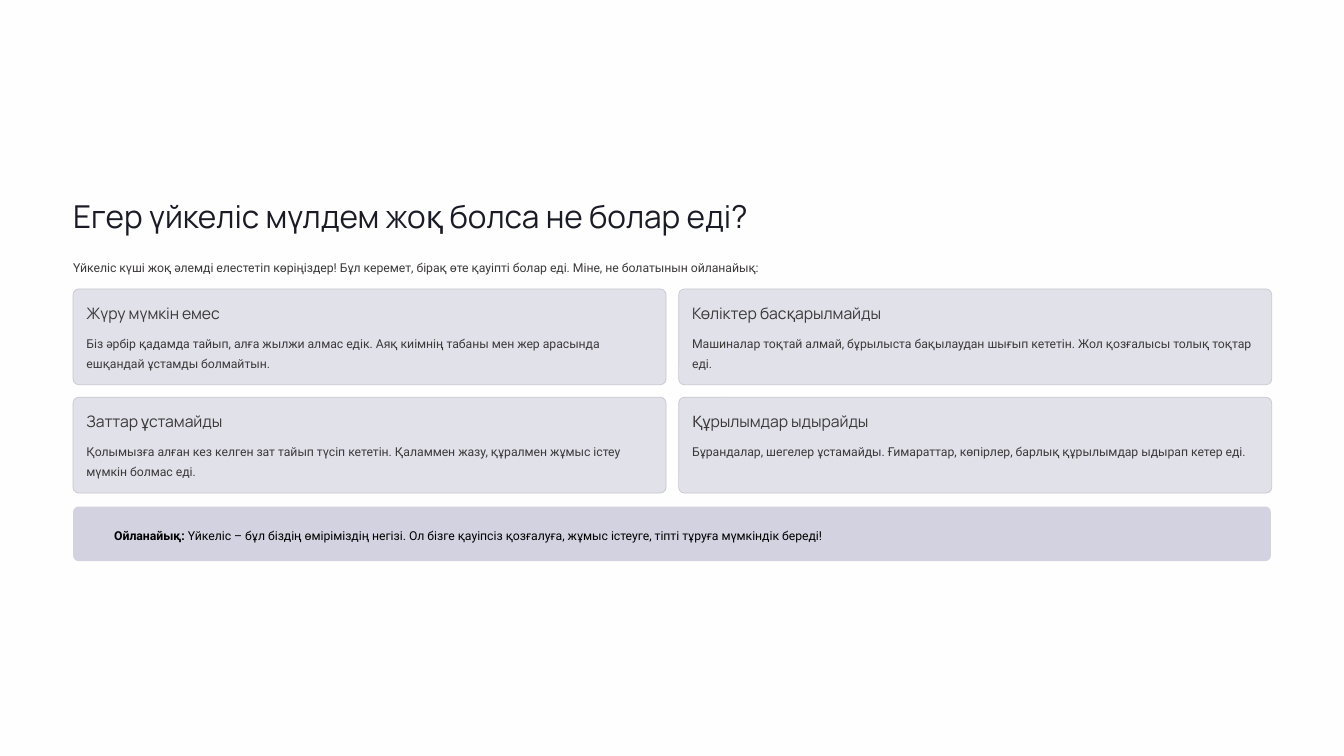
"""Build the slide about a world without friction: title, four cards and a closing thought."""
from pptx import Presentation
from pptx import util as u
from pptx.dml.color import RGBColor
from pptx.enum import shapes, text

PX = 9144
THEME = {
    "background": "FEFEFE",
    "card": "E1E1EA",
    "card_line": "C7C7D0",
    "callout": "D2D2E0",
    "title": {"name": "Manrope", "size": 27, "color": "1B1B27", "spacing": 34},
    "heading": {"name": "Manrope", "size": 13.5, "color": "3C3939", "spacing": 17},
    "body": {"name": "Roboto", "size": 10.5, "color": "3C3939", "spacing": 17.5},
    "thought": {"name": "Roboto", "size": 10.5, "color": "000000", "spacing": 17.5},
}
CARDS = [
    ("Жүру мүмкін емес",
     "Біз әрбір қадамда тайып, алға жылжи алмас едік. Аяқ киімнің табаны мен жер арасында "
     "ешқандай ұстамды болмайтын."),
    ("Көліктер басқарылмайды",
     "Машиналар тоқтай алмай, бұрылыста бақылаудан шығып кететін. Жол қозғалысы толық тоқтар еді."),
    ("Заттар ұстамайды",
     "Қолымызға алған кез келген зат тайып түсіп кететін. Қаламмен жазу, құралмен жұмыс істеу "
     "мүмкін болмас еді."),
    ("Құрылымдар ыдырайды",
     "Бұрандалар, шегелер ұстамайды. Ғимараттар, көпірлер, барлық құрылымдар ыдырап кетер еді."),
]
LEFT, WIDTH = 87, 1426
CARD_TOP, CARD_WIDTH, CARD_HEIGHT, GAP, PADDING = 344, 706, 114, 15, 16

presentation = Presentation()
presentation.slide_width, presentation.slide_height = 1600 * PX, 900 * PX
slide = presentation.slides.add_slide(presentation.slide_layouts[5])
slide.background.fill.solid()
slide.background.fill.fore_color.rgb = RGBColor.from_string(THEME["background"])


def write(box, style, *runs, wrap=False):
    """Fill a text box with (text, bold) runs in one theme style."""
    look = THEME[style]
    frame = box.text_frame
    layout = {"margin_left": 0, "margin_top": 0, "margin_right": 0, "margin_bottom": 0,
              "word_wrap": wrap, "auto_size": text.MSO_AUTO_SIZE.NONE,
              "vertical_anchor": text.MSO_ANCHOR.TOP}
    for name, value in layout.items():
        setattr(frame, name, value)
    paragraph = frame.paragraphs[0]
    paragraph.alignment = text.PP_ALIGN.LEFT
    paragraph.line_spacing = u.Pt(look["spacing"])
    for words, bold in runs:
        run = paragraph.add_run()
        run.text = words
        for name, value in {"name": look["name"], "size": u.Pt(look["size"]), "bold": bold}.items():
            setattr(run.font, name, value)
        run.font.color.rgb = RGBColor.from_string(look["color"])


def add_panel(left, top, width, height, fill, rounding):
    """Add a flat rounded rectangle without an outline."""
    panel = slide.shapes.add_shape(shapes.MSO_SHAPE.ROUNDED_RECTANGLE,
                                   left * PX, top * PX, width * PX, height * PX)
    panel.adjustments[0] = rounding
    panel.shadow.inherit = False
    panel.fill.solid()
    panel.fill.fore_color.rgb = RGBColor.from_string(fill)
    panel.line.fill.background()
    return panel


title = slide.shapes.title
for name, value in {"left": LEFT, "top": 232, "width": 833, "height": 47}.items():
    setattr(title, name, value * PX)
write(title, "title", ("Егер үйкеліс мүлдем жоқ болса не болар еді?", False))

intro = slide.shapes.add_textbox(LEFT * PX, 303 * PX, WIDTH * PX, 24 * PX)
write(intro, "body", ("Үйкеліс күші жоқ әлемді елестетіп көріңіздер! Бұл керемет, бірақ өте қауіпті "
                      "болар еді. Міне, не болатынын ойланайық:", False))

for index, (heading, body) in enumerate(CARDS):
    row, column = divmod(index, 2)
    left = LEFT + column * (CARD_WIDTH + GAP)
    top = CARD_TOP + row * (CARD_HEIGHT + GAP)
    card = add_panel(left, top, CARD_WIDTH, CARD_HEIGHT, THEME["card"], 0.06)
    card.line.color.rgb = RGBColor.from_string(THEME["card_line"])
    card.line.width = u.Pt(0.6)
    for style, words, offset, height, wrap in (("heading", heading, PADDING, 24, False),
                                               ("body", body, 49, 49, True)):
        box = slide.shapes.add_textbox((left + PADDING) * PX, (top + offset) * PX,
                                       (CARD_WIDTH - 2 * PADDING) * PX, height * PX)
        write(box, style, (words, False), wrap=wrap)

add_panel(LEFT, 603, WIDTH, 65, THEME["callout"], 0.1)
thought = slide.shapes.add_textbox(136 * PX, 622 * PX, 1362 * PX, 24 * PX)
write(thought, "thought", ("Ойланайық:", True),
      (" Үйкеліс – бұл біздің өміріміздің негізі. Ол бізге қауіпсіз қозғалуға, жұмыс істеуге, "
       "тіпті тұруға мүмкіндік береді!", False))

presentation.save("out.pptx")
